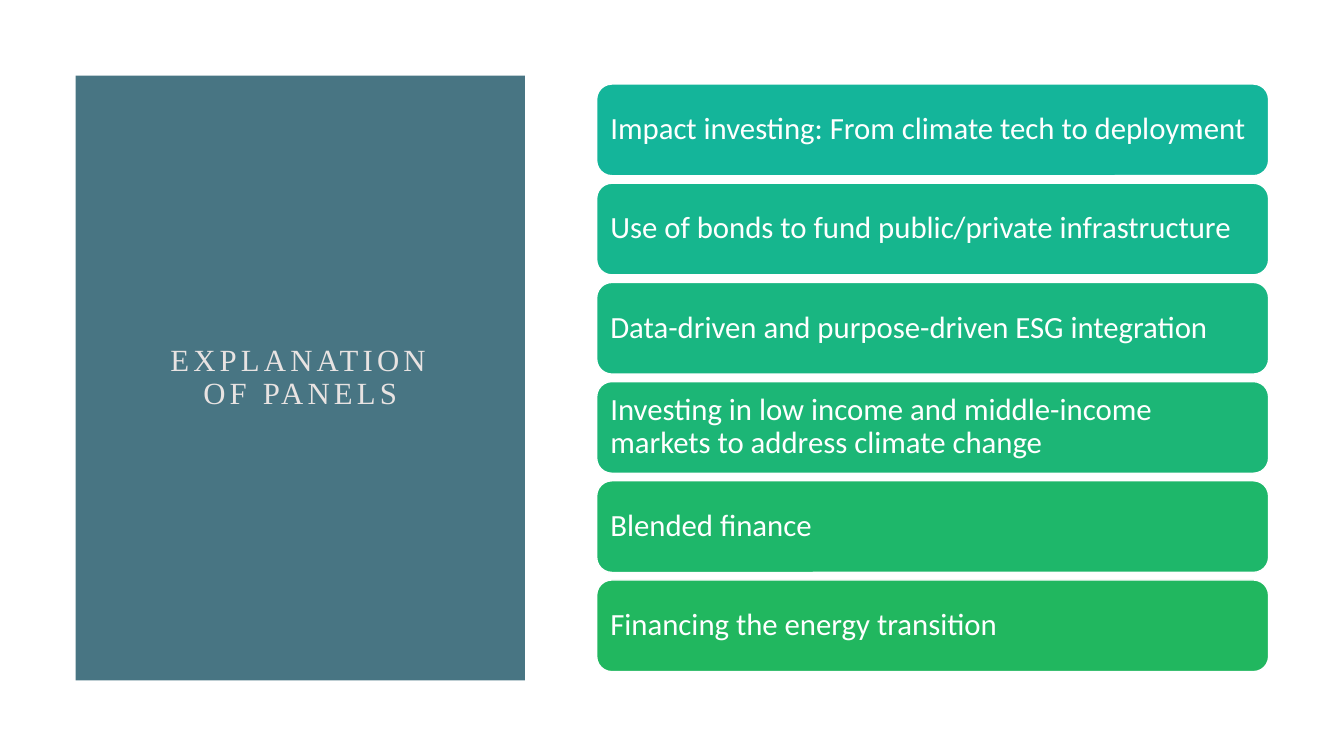
"""Build the slide that lists the conference panels."""
from dataclasses import dataclass

from pptx import Presentation
from pptx import util as u
from pptx.dml.color import RGBColor
from pptx.enum import shapes, text
from pptx.shapes.autoshape import Shape
from pptx.slide import Slide

WHITE = RGBColor(0xFF, 0xFF, 0xFF)
SLATE = RGBColor(0x48, 0x75, 0x83)
CREAM = RGBColor(0xE8, 0xE3, 0xE2)

BAR_LEFT, BAR_TOP = 426.2, 60
BAR_WIDTH, BAR_HEIGHT = 480, 65.5
BAR_PITCH = 70.85
BAR_INSET = u.Pt(6.6)


@dataclass(frozen=True)
class Panel:
    """A conference panel and the colour of its bar."""

    topic: str
    colour: RGBColor


PANELS = [
    Panel("Impact investing: From climate tech to deployment", RGBColor(0x14, 0xB5, 0x9A)),
    Panel("Use of bonds to fund public/private infrastructure", RGBColor(0x16, 0xB6, 0x8E)),
    Panel("Data-driven and purpose-driven ESG integration", RGBColor(0x19, 0xB6, 0x81)),
    Panel("Investing in low income and middle-income markets to address climate change",
          RGBColor(0x1C, 0xB6, 0x76)),
    Panel("Blended finance", RGBColor(0x1E, 0xB7, 0x6A)),
    Panel("Financing the energy transition", RGBColor(0x21, 0xB7, 0x5F)),
]


def write(shape: Shape, words: str, font: str, colour: RGBColor, align: text.PP_ALIGN) -> None:
    """Set and format the text of a shape."""
    frame = shape.text_frame
    frame.text = words
    frame.word_wrap = True
    frame.auto_size = text.MSO_AUTO_SIZE.NONE
    frame.vertical_anchor = text.MSO_ANCHOR.MIDDLE
    para = frame.paragraphs[0]
    para.alignment = align
    para.line_spacing = 0.9
    span = para.runs[0]
    span.font.name = font
    span.font.size = u.Pt(22)
    span.font.color.rgb = colour


def draw_title(page: Slide) -> None:
    """Draw the slate block with the title in front of it."""
    block = page.shapes.add_shape(
        shapes.MSO_SHAPE.RECTANGLE, u.Pt(54), u.Pt(54), u.Pt(321), u.Pt(432))
    block.shadow.inherit = False
    block.fill.solid()
    block.fill.fore_color.rgb = SLATE
    block.line.fill.background()

    title = page.shapes.title
    title.left, title.top = u.Pt(108), u.Pt(108)
    title.width, title.height = u.Pt(213), u.Pt(324)
    write(title, "EXPLANATION OF PANELS", "Times New Roman", CREAM, text.PP_ALIGN.CENTER)
    span = title.text_frame.paragraphs[0].runs[0]
    span.font._element.set("spc", "300")
    block.element.addnext(title.element)


def draw_bar(page: Slide, row: int, panel: Panel) -> None:
    """Draw the rounded bar of one panel."""
    bar = page.shapes.add_shape(
        shapes.MSO_SHAPE.ROUNDED_RECTANGLE, u.Pt(BAR_LEFT), u.Pt(BAR_TOP + row * BAR_PITCH),
        u.Pt(BAR_WIDTH), u.Pt(BAR_HEIGHT))
    bar.shadow.inherit = False
    bar.fill.solid()
    bar.fill.fore_color.rgb = panel.colour
    bar.line.color.rgb = WHITE
    bar.line.width = u.Pt(1)
    frame = bar.text_frame
    frame.margin_left = frame.margin_right = BAR_INSET
    frame.margin_top = frame.margin_bottom = BAR_INSET
    write(bar, panel.topic, "Calibri", WHITE, text.PP_ALIGN.LEFT)


def main() -> None:
    """Build and save the deck."""
    deck = Presentation()
    deck.slide_width, deck.slide_height = u.Pt(960), u.Pt(540)
    page = deck.slides.add_slide(deck.slide_layouts.get_by_name("Title Only"))
    draw_title(page)
    for row, panel in enumerate(PANELS):
        draw_bar(page, row, panel)
    deck.save("out.pptx")


main()
